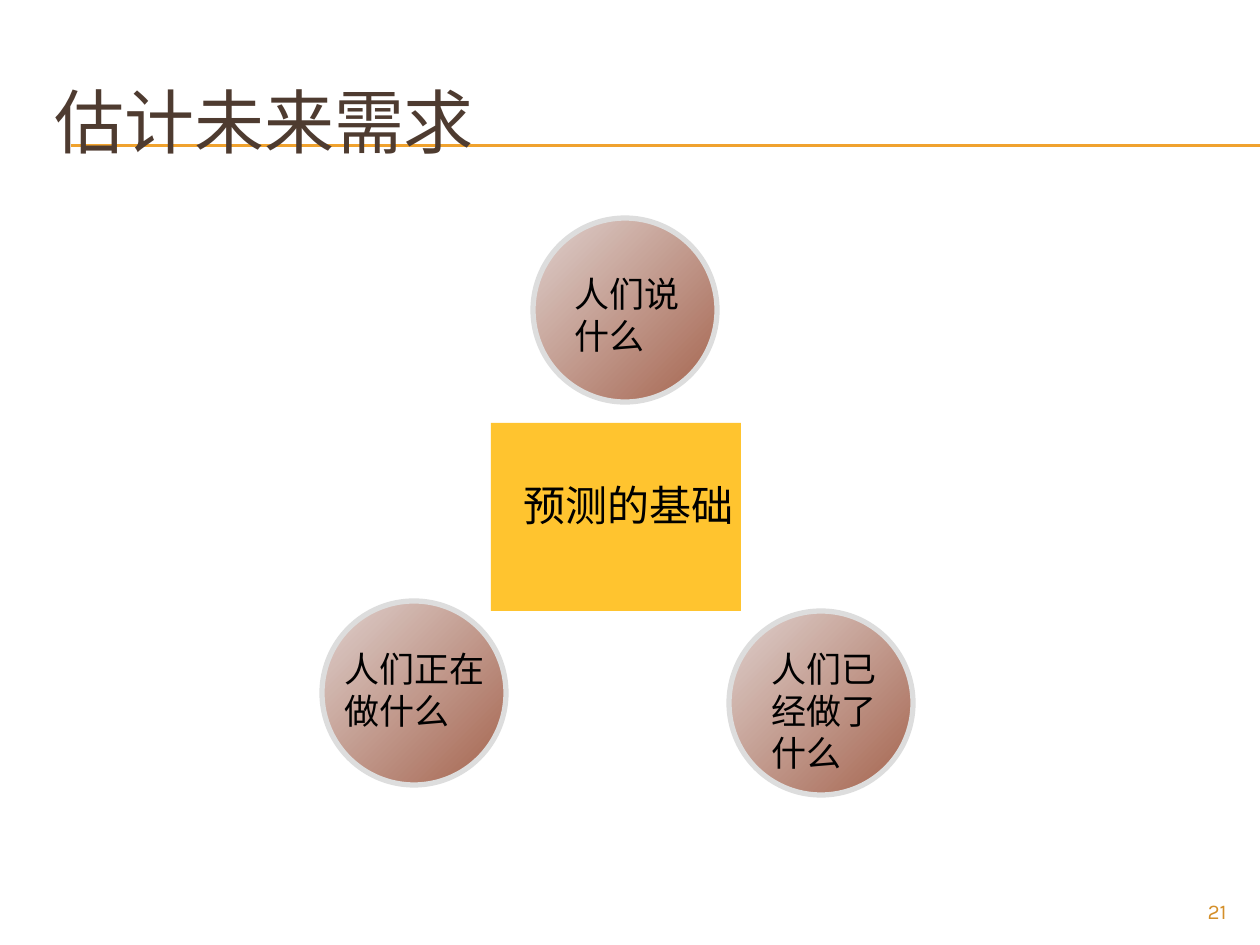
from dataclasses import dataclass

from lxml.etree import SubElement
from pptx import Presentation
from pptx.dml.color import RGBColor
from pptx.enum.shapes import MSO_CONNECTOR, MSO_SHAPE
from pptx.enum.text import MSO_ANCHOR, PP_ALIGN
from pptx.oxml.ns import qn
from pptx.slide import Slide
from pptx.util import Emu, Pt

EMU_PER_PX = 914400 / 126
SLIDE_WIDTH, SLIDE_HEIGHT = 1260, 945
CIRCLE_SIZE = 184
LATIN_FONT, CHINESE_FONT = "Karla", "Noto Sans CJK SC"
COLORS = {
    "rule": "F0A22E",
    "title": "4E3B30",
    "number": "D48F29",
    "text": "000000",
    "circle_light": "DFD1CE",
    "circle_dark": "A5644E",
    "circle_edge": "DDDDDD",
    "center": "FFC42F",
}


@dataclass(frozen=True)
class Box:
    left: int
    top: int
    width: int
    height: int

    def emu(self) -> tuple[Emu, ...]:
        return tuple(map(px, (self.left, self.top, self.width, self.height)))


@dataclass(frozen=True)
class Label:
    text: str
    box: Box
    size: int = 20
    font: str = CHINESE_FONT
    color: str = "text"
    align: PP_ALIGN = PP_ALIGN.LEFT
    anchor: MSO_ANCHOR = MSO_ANCHOR.TOP


@dataclass(frozen=True)
class Circle:
    left: int
    top: int
    label: Label


CIRCLES = [
    Circle(322, 601, Label("人们正在做什么", Box(332, 641, 169, 97))),
    Circle(533, 218, Label("人们说什么", Box(562, 266, 131, 97))),
    Circle(729, 611, Label("人们已经做了什么", Box(759, 641, 131, 140))),
]
TITLE = Label("估计未来需求", Box(42, 63, 1197, 116), 40, LATIN_FONT, "title",
              anchor=MSO_ANCHOR.MIDDLE)
PAGE_NUMBER = Label("21", Box(1134, 892, 105, 34), 12, LATIN_FONT, "number", PP_ALIGN.RIGHT)
CENTER_BOX = Box(491, 423, 250, 188)
CENTER_LABEL = Label("预测的基础", Box(511, 473, 258, 63), 24, LATIN_FONT)


def px(length: int) -> Emu:
    return Emu(round(length * EMU_PER_PX))


def rgb(name: str) -> RGBColor:
    return RGBColor.from_string(COLORS[name])


def add_label(slide: Slide, label: Label) -> None:
    frame = slide.shapes.add_textbox(*label.box.emu()).text_frame
    frame.word_wrap = True
    frame.vertical_anchor = label.anchor
    paragraph = frame.paragraphs[0]
    paragraph.text = label.text
    paragraph.alignment = label.align
    font = paragraph.font
    font.size = Pt(label.size)
    font.color.rgb = rgb(label.color)
    font.name = label.font
    # East Asian typeface for the Chinese characters
    properties = paragraph._p.pPr.find(qn("a:defRPr"))
    SubElement(properties, qn("a:ea"), typeface=CHINESE_FONT)


def add_rule(slide: Slide, top: int) -> None:
    rule = slide.shapes.add_connector(
        MSO_CONNECTOR.STRAIGHT, px(71), px(top), px(SLIDE_WIDTH), px(top))
    rule.line.color.rgb = rgb("rule")
    rule.line.width = Pt(0.75)
    SubElement(rule._element.spPr, qn("a:effectLst"))


def add_circle(slide: Slide, circle: Circle) -> None:
    box = Box(circle.left, circle.top, CIRCLE_SIZE, CIRCLE_SIZE)
    shape = slide.shapes.add_shape(MSO_SHAPE.OVAL, *box.emu())
    shape.shadow.inherit = False
    shape.fill.gradient()
    shape.fill.gradient_angle = 315
    for stop, name in zip(shape.fill.gradient_stops, ("circle_light", "circle_dark")):
        stop.color.rgb = rgb(name)
    shape.line.color.rgb = rgb("circle_edge")
    shape.line.width = Pt(3)


def add_center(slide: Slide) -> None:
    shape = slide.shapes.add_shape(MSO_SHAPE.RECTANGLE, *CENTER_BOX.emu())
    shape.shadow.inherit = False
    shape.fill.solid()
    shape.fill.fore_color.rgb = rgb("center")
    shape.line.fill.background()


def main() -> None:
    presentation = Presentation()
    presentation.slide_width = px(SLIDE_WIDTH)
    presentation.slide_height = px(SLIDE_HEIGHT)
    slide = presentation.slides.add_slide(presentation.slide_layouts[6])

    # Double rule, title and page number
    for top in (145, 146):
        add_rule(slide, top)
    add_label(slide, TITLE)
    add_label(slide, PAGE_NUMBER)

    # Three circles with their labels
    for circle in CIRCLES:
        add_circle(slide, circle)
    for circle in CIRCLES:
        add_label(slide, circle.label)

    # Central theme
    add_center(slide)
    add_label(slide, CENTER_LABEL)

    presentation.save("out.pptx")


if __name__ == "__main__":
    main()
